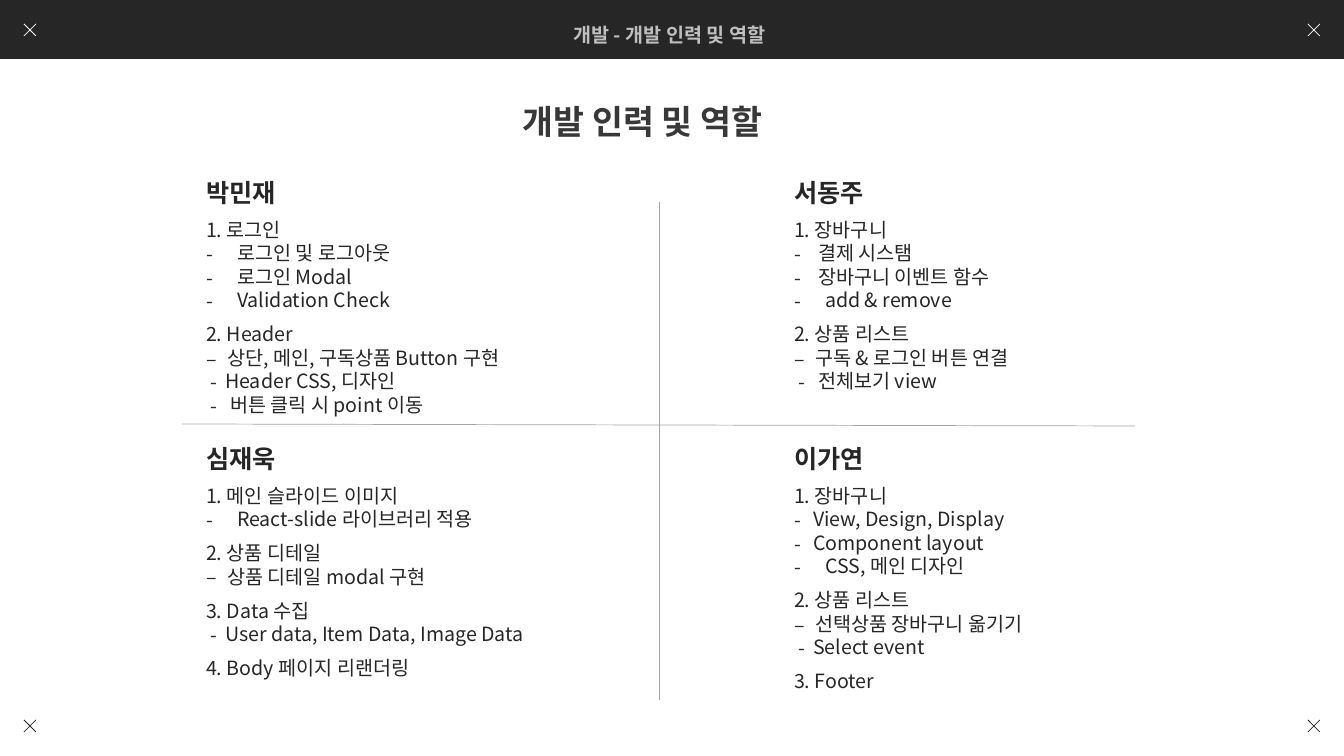
"""Build the slide that lists the development team and its roles."""
from lxml import etree
from pptx import Presentation
from pptx.dml.color import RGBColor
from pptx.enum.shapes import MSO_CONNECTOR, MSO_SHAPE
from pptx.enum.text import MSO_ANCHOR, MSO_AUTO_SIZE, PP_ALIGN
from pptx.oxml.ns import qn
from pptx.util import Pt

STRAIGHT = MSO_CONNECTOR.STRAIGHT
RECT = MSO_SHAPE.RECTANGLE
TOP = MSO_ANCHOR.TOP
FIXED = MSO_AUTO_SIZE.NONE
LEFT, CENTER = PP_ALIGN.LEFT, PP_ALIGN.CENTER

WIDE, HIGH = 1344, 756
SCALE = 12192000 / WIDE
FONT = "Noto Sans CJK KR"
LEAD = 1.2
GAP = 7.4
COLORS = {
    "dark": "262626",
    "title": "383838",
    "pale": "BFBFBF",
    "rule": "A5A5A5",
    "white": "FFFFFF",
}
MARKS = {
    "wide": ("-", 0, 31),
    "mid": ("-", 0, 24),
    "near": ("-", 0, 19),
    "dash": ("–", 0, 21),
    "late": ("-", 4, 19),
    "far": ("-", 4, 24),
}
COLS, ROWS = (196, 784), (172, 438)
TEAM = [
    ("박민재", 0, 0, 251, [
        ("1. 로그인", [("wide", "로그인 및 로그아웃"), ("wide", "로그인 Modal"),
                     ("wide", "Validation Check")]),
        ("2. Header", [("dash", "상단, 메인, 구독상품 Button 구현"),
                       ("late", "Header CSS, 디자인"),
                       ("far", "버튼 클릭 시 point 이동")]),
    ]),
    ("서동주", 1, 0, 228, [
        ("1. 장바구니", [("mid", "결제 시스탬"), ("mid", "장바구니 이벤트 함수"),
                      ("wide", "add & remove")]),
        ("2. 상품 리스트", [("dash", "구독 & 로그인 버튼 연결"),
                        ("far", "전체보기 view")]),
    ]),
    ("심재욱", 0, 1, 248, [
        ("1. 메인 슬라이드 이미지", [("wide", "React-slide 라이브러리 적용")]),
        ("2. 상품 디테일", [("dash", "상품 디테일 modal 구현")]),
        ("3. Data 수집", [("late", "User data, Item Data, Image Data")]),
        ("4. Body 페이지 리랜더링", []),
    ]),
    ("이가연", 1, 1, 261, [
        ("1. 장바구니", [("near", "View, Design, Display"),
                      ("near", "Component layout"), ("wide", "CSS, 메인 디자인")]),
        ("2. 상품 리스트", [("dash", "선택상품 장바구니 옮기기"),
                        ("late", "Select event")]),
        ("3. Footer", []),
    ]),
]


def px(num):
    """Turn pixels into EMU."""
    return round(num * SCALE)


def rgb(name):
    """Look up a colour by its name."""
    return RGBColor.from_string(COLORS[name])


def place(shape, left, top, width, height):
    """Move and size a shape, and fix its text frame."""
    shape.left, shape.top = px(left), px(top)
    shape.width, shape.height = px(width), px(height)
    frame = shape.text_frame
    frame.word_wrap = True
    frame.auto_size = FIXED
    frame.vertical_anchor = TOP
    return frame


def style(para, size, color, bold=False, align=LEFT, gap=0, mark=None):
    """Format a paragraph, its bullet and its runs."""
    para.alignment = align
    para.line_spacing = Pt(size * LEAD)
    para.space_before, para.space_after = Pt(gap), Pt(0)
    char, start, end = MARKS.get(mark, ("", 0, 0))
    props = para._p.get_or_add_pPr()
    props.set("marL", str(px(end)))
    props.set("indent", str(px(start - end)))
    if char:
        etree.SubElement(props, qn("a:buFont"), typeface=FONT)
        etree.SubElement(props, qn("a:buChar"), char=char)
    else:
        etree.SubElement(props, qn("a:buNone"))
    for run in para.runs:
        font = run.font
        font.size, font.bold, font.name = Pt(size), bold, FONT
        font.color.rgb = rgb(color)
        etree.SubElement(run._r.get_or_add_rPr(), qn("a:ea"), typeface=FONT)


def label(shape, box, text, size, color):
    """Fill a shape with one bold centred line."""
    frame = place(shape, *box)
    frame.text = text
    style(frame.paragraphs[0], size, color, True, CENTER)


def roles(shape, name, col, row, height, tasks):
    """Fill a body placeholder with one member's tasks."""
    frame = place(shape, COLS[col], ROWS[row], 350, height)
    frame.text = name
    style(frame.paragraphs[0], 18, "dark", True)
    for head, items in tasks:
        para = frame.add_paragraph()
        para.text = head
        style(para, 14, "dark", gap=GAP)
        for mark, text in items:
            para = frame.add_paragraph()
            para.text = text
            style(para, 14, "dark", mark=mark)


def rule(shapes, x1, y1, x2, y2, color):
    """Draw a thin straight line."""
    line = shapes.add_connector(STRAIGHT, px(x1), px(y1), px(x2), px(y2))
    line.line.color.rgb = rgb(color)
    line.line.width = Pt(0.5)
    etree.SubElement(line._element.spPr, qn("a:effectLst"))


def cross(shapes, x, y, color):
    """Draw a small grouped cross around a centre."""
    group = shapes.add_group_shape()
    for tilt in (6, -6):
        rule(group.shapes, x + 6, y - tilt, x - 6, y + tilt, color)


def banner(shapes):
    """Draw the dark bar and its caption."""
    bar = shapes.add_shape(RECT, 0, 0, px(WIDE), px(59))
    bar.shadow.inherit = False
    bar.fill.solid()
    bar.fill.fore_color.rgb = rgb("dark")
    bar.line.fill.background()
    label(shapes.add_textbox(0, 0, 0, 0), (537, 18, 265, 34),
          "개발 - 개발 인력 및 역할", 14, "pale")


def main():
    """Build the slide and save it."""
    deck = Presentation()
    deck.slide_width, deck.slide_height = px(WIDE), px(HIGH)
    slide = deck.slides.add_slide(deck.slide_layouts[4])
    shapes = slide.shapes
    banner(shapes)
    label(shapes.title, (-58, 96, 1401, 50), "개발 인력 및 역할", 24, "title")
    bodies = list(slide.placeholders)[1:]
    for body, member in zip(bodies, TEAM):
        roles(body, *member)
    for y, color in ((30, "white"), (HIGH - 30, "dark")):
        for x in (30, WIDE - 30):
            cross(shapes, x, y, color)
    rule(shapes, 659, 700, 659, 202, "rule")
    rule(shapes, 182, 424, 1135, 426, "rule")
    deck.save("out.pptx")


if __name__ == "__main__":
    main()
